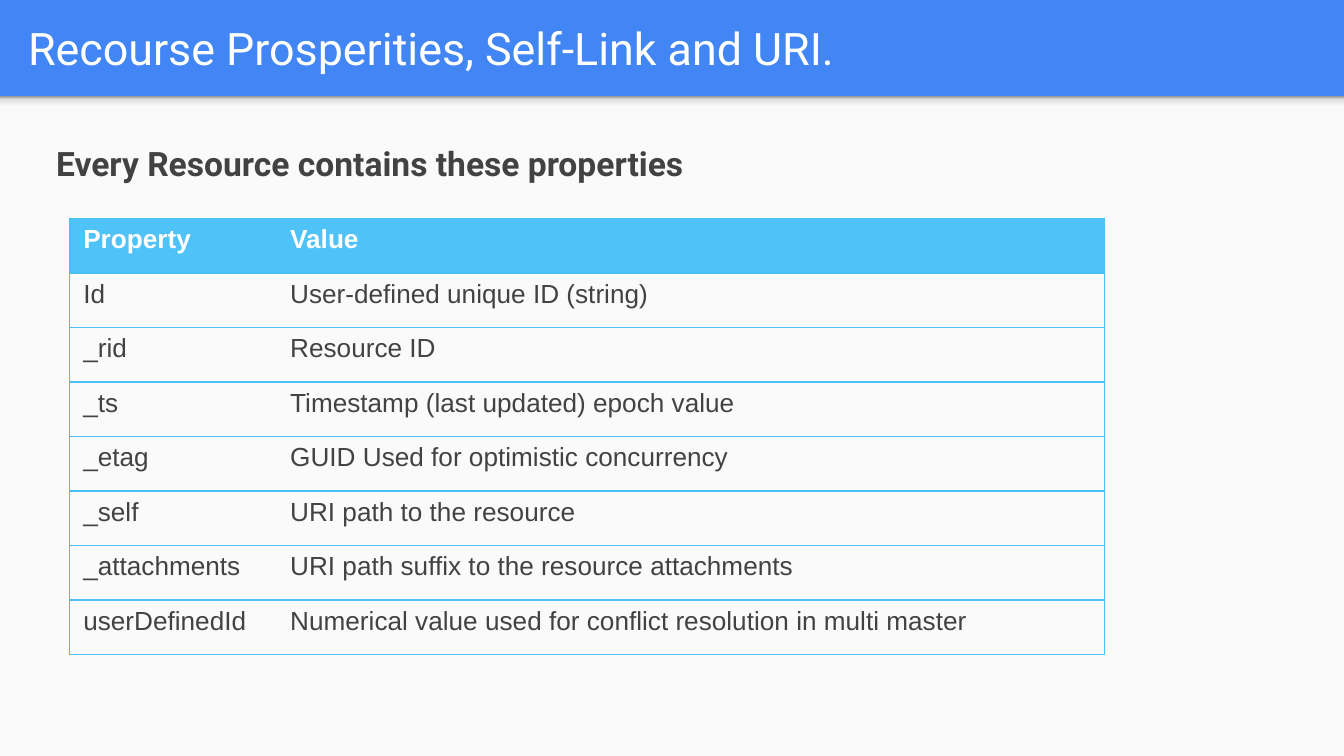
"""Build a slide with a table of the properties every resource contains."""
from lxml.etree import SubElement
from pptx import Presentation
from pptx.dml.color import RGBColor
from pptx.enum.shapes import MSO_SHAPE as Shape
from pptx.enum.text import MSO_ANCHOR as Anchor, MSO_AUTO_SIZE as AutoSize, PP_ALIGN as Align
from pptx.oxml import parse_xml
from pptx.oxml.ns import nsdecls, qn
from pptx.util import Cm, Pt

BLUE = RGBColor(0x42, 0x85, 0xF4)
PAPER = RGBColor(0xFA, 0xFA, 0xFA)
HEADER = RGBColor(0x4F, 0xC3, 0xF7)
RULE = RGBColor(0x49, 0xC0, 0xF6)
INK = RGBColor(0x42, 0x42, 0x42)
WHITE = RGBColor(0xFF, 0xFF, 0xFF)
SHADE = [(0, RGBColor(0xF9, 0xF9, 0xF9)), (36, RGBColor(0xF9, 0xF9, 0xF9)),
         (80, RGBColor(0xDE, 0xDE, 0xDE)), (100, RGBColor(0x99, 0x99, 0x99))]

PROPERTIES = [
    ("Property", "Value"),
    ("Id", "User-defined unique ID (string)"),
    ("_rid", "Resource ID"),
    ("_ts", "Timestamp (last updated) epoch value"),
    ("_etag", "GUID Used for optimistic concurrency"),
    ("_self", "URI path to the resource"),
    ("_attachments", "URI path suffix to the resource attachments"),
    ("userDefinedId", "Numerical value used for conflict resolution in multi master"),
]


def write(frame, text, size, color, font="Arial", bold=False, line=1.0, after=0):
    paragraph = frame.paragraphs[0]
    paragraph.alignment = Align.LEFT
    paragraph.line_spacing = line
    paragraph.space_before = Pt(0)
    paragraph.space_after = Pt(after)
    run = paragraph.add_run()
    run.text = text
    run.font.name = font
    run.font.size = Pt(size)
    run.font.bold = bold
    run.font.color.rgb = color
    return paragraph


def add_border(cell, side, visible):
    border = SubElement(cell._tc.get_or_add_tcPr(), qn(f"a:ln{side}"), w=str(Pt(0.75)))
    if visible:
        fill = SubElement(border, qn("a:solidFill"))
        SubElement(fill, qn("a:srgbClr"), val=str(RULE))
    else:
        SubElement(border, qn("a:noFill"))


prs = Presentation()
prs.slide_width, prs.slide_height = Cm(25.4), Cm(14.29)
slide = prs.slides.add_slide(prs.slide_layouts[1])
slide.background.fill.solid()
slide.background.fill.fore_color.rgb = BLUE
title, heading = slide.placeholders

panel_top = Cm(1.82)
panel = slide.shapes.add_shape(
    Shape.RECTANGLE, 0, panel_top, prs.slide_width, prs.slide_height - panel_top)
panel.fill.solid()
panel.fill.fore_color.rgb = PAPER

header_shade = slide.shapes.add_shape(
    Shape.RECTANGLE, 0, panel_top, prs.slide_width, Cm(0.3))
stops = "".join(f'<a:gs pos="{pos * 1000}"><a:srgbClr val="{color}"/></a:gs>'
                for pos, color in SHADE)
header_shade._element.spPr.find(qn("a:prstGeom")).addnext(parse_xml(
    f'<a:gradFill {nsdecls("a")}><a:gsLst>{stops}</a:gsLst>'
    '<a:lin ang="16200000" scaled="0"/></a:gradFill>'))

for backdrop in (panel, header_shade):
    backdrop.line.fill.background()
    backdrop.shadow.inherit = False
    title._element.addprevious(backdrop._element)

title.left, title.top, title.width, title.height = Cm(0.28), Cm(0.05), Cm(24.5), Cm(1.68)
heading.left, heading.top, heading.width, heading.height = Cm(0.81), Cm(2.34), Cm(22.4), Cm(11.3)
for holder, anchor in ((title, Anchor.MIDDLE), (heading, Anchor.TOP)):
    frame = holder.text_frame
    frame.word_wrap = True
    frame.auto_size = AutoSize.NONE
    frame.vertical_anchor = anchor
    frame.margin_left = frame.margin_right = frame.margin_top = frame.margin_bottom = Cm(0.25)

write(title.text_frame, "Recourse Prosperities, Self-Link and URI.", 24, WHITE, font="Roboto")
lead = write(heading.text_frame, "Every Resource contains these properties", 18, INK,
             font="Roboto", bold=True, line=1.15, after=16)
lead_format = lead._p.get_or_add_pPr()
lead_format.set("marL", "0")
lead_format.set("indent", "0")
SubElement(lead_format, qn("a:buNone"))

row_count = len(PROPERTIES)
properties = slide.shapes.add_table(
    row_count, 2, Cm(1.32), Cm(4.13), Cm(19.55), Cm(1.03) * row_count).table
properties.horz_banding = False
properties.columns[0].width, properties.columns[1].width = Cm(3.91), Cm(15.64)

for row, values in enumerate(PROPERTIES):
    is_header = row == 0
    for col, value in enumerate(values):
        cell = properties.cell(row, col)
        for side, visible in (("L", col == 0), ("R", col == 1), ("T", True), ("B", True)):
            add_border(cell, side, visible)
        if is_header:
            cell.fill.solid()
            cell.fill.fore_color.rgb = HEADER
        else:
            cell.fill.background()
        write(cell.text_frame, value, 14, WHITE if is_header else INK, bold=is_header)

prs.save("out.pptx")
